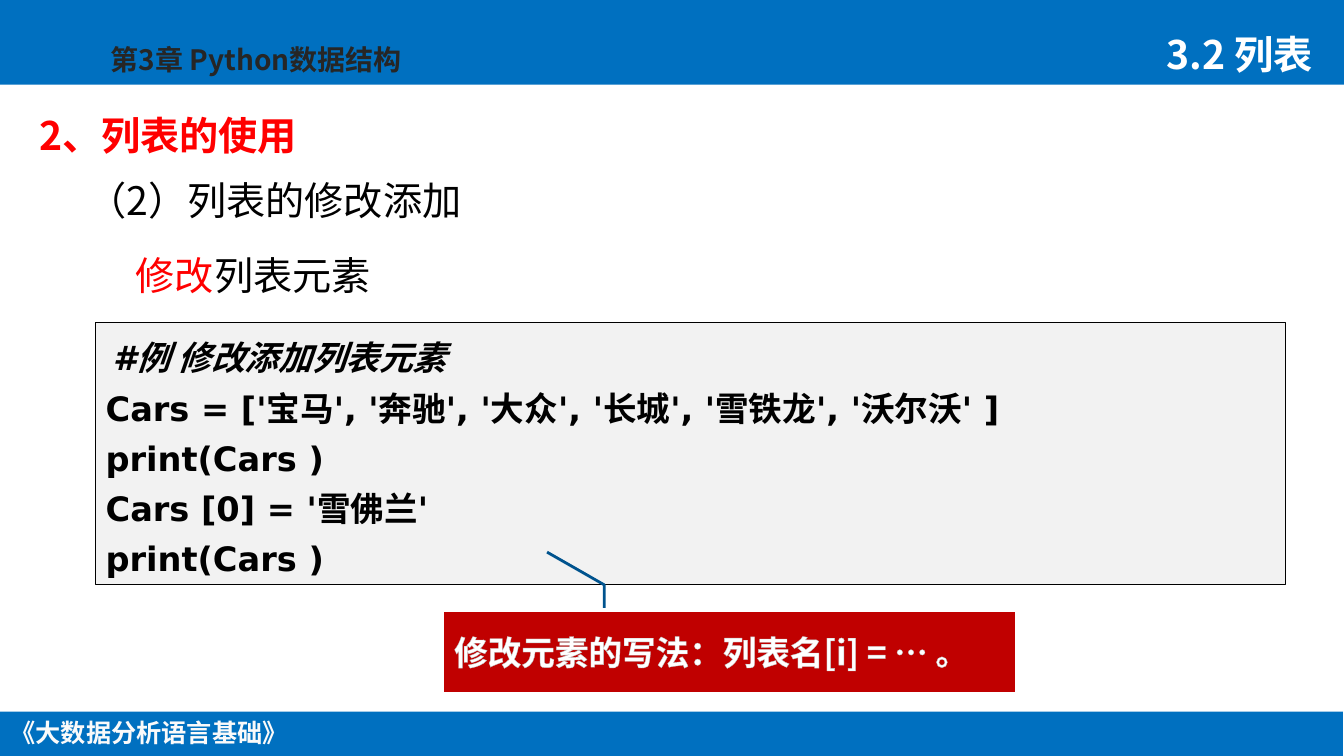
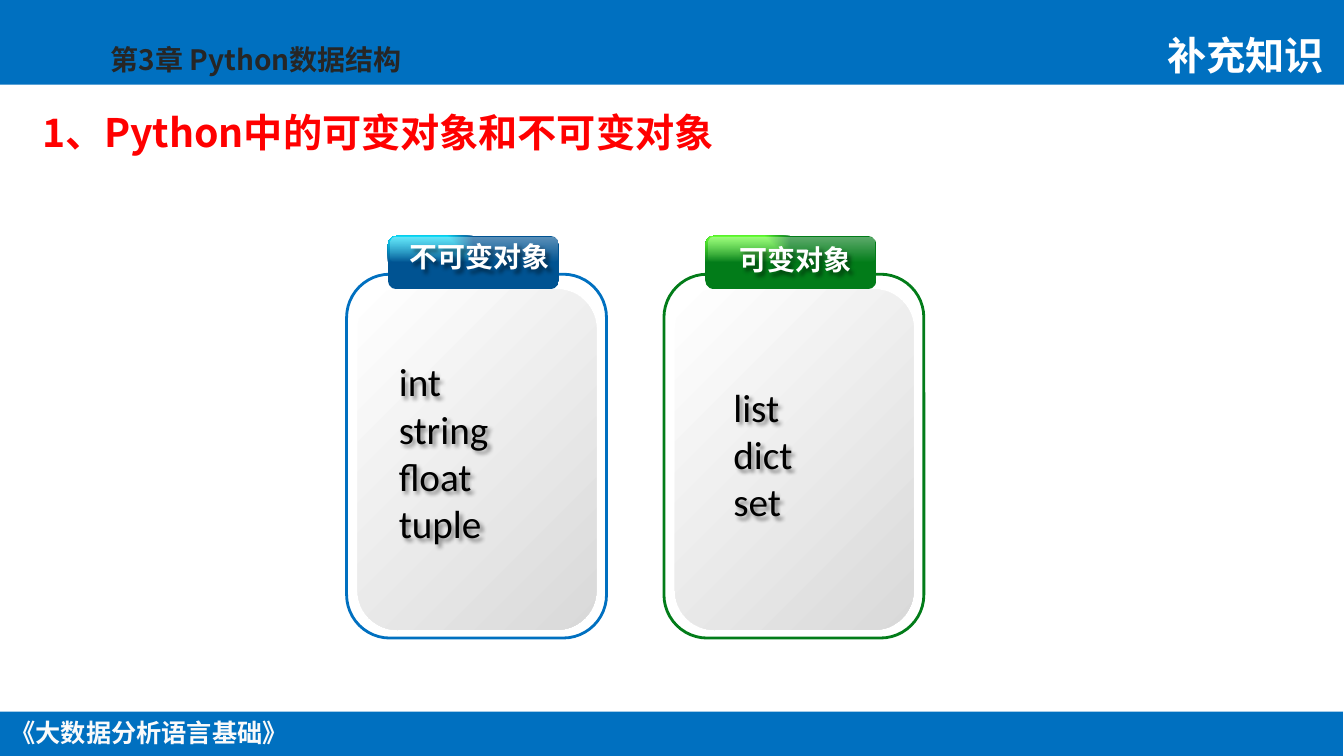
from lxml import etree
from pptx import Presentation
from pptx.dml.color import RGBColor
from pptx.enum.shapes import MSO_SHAPE
from pptx.enum.text import MSO_ANCHOR, MSO_AUTO_SIZE, PP_ALIGN
from pptx.oxml import parse_xml
from pptx.oxml.ns import qn
from pptx.util import Emu, Pt

# Enum members
RECT, ROUND = MSO_SHAPE.RECTANGLE, MSO_SHAPE.ROUNDED_RECTANGLE
CALL = MSO_SHAPE.LINE_CALLOUT_2_NO_BORDER
LEFT, MID, RIGHT = PP_ALIGN.LEFT, PP_ALIGN.CENTER, PP_ALIGN.RIGHT
TOP, CENTER, BOTTOM = MSO_ANCHOR.TOP, MSO_ANCHOR.MIDDLE, MSO_ANCHOR.BOTTOM
FIXED = MSO_AUTO_SIZE.NONE

# Colours
BLUE = RGBColor(0x00, 0x70, 0xC0)
NAVY = RGBColor(0x00, 0x53, 0x8E)
DEEP = RGBColor(0x00, 0x53, 0x92)
CYAN = RGBColor(0x10, 0xDC, 0xF8)
GREEN = RGBColor(0x02, 0x7C, 0x19)
LIME = RGBColor(0x66, 0xFF, 0x33)
RED = RGBColor(0xFF, 0x00, 0x00)
WINE = RGBColor(0xC0, 0x00, 0x00)
BLACK = RGBColor(0x00, 0x00, 0x00)
INK = RGBColor(0x26, 0x26, 0x26)
STEEL = RGBColor(0xBF, 0xBF, 0xBF)
GREY = RGBColor(0xD9, 0xD9, 0xD9)
PALE = RGBColor(0xF2, 0xF2, 0xF2)
SNOW = RGBColor(0xFA, 0xFA, 0xFA)
WHITE = RGBColor(0xFF, 0xFF, 0xFF)

# Fonts and scale: 100 px to the inch
HAN, CODE, LATIN = "Noto Sans CJK SC", "DejaVu Sans", "Calibri"
SCALE = 9144
NS = 'xmlns:a="http://schemas.openxmlformats.org/drawingml/2006/main"'
CORNER = '<a:path path="rect"><a:fillToRect r="100000" b="100000"/></a:path>'
SHADE = (f'<a:effectLst {NS}><a:outerShdw blurRad="38100" dist="38100" '
         'dir="2700000"><a:srgbClr val="000000"><a:alpha val="43000"/>'
         '</a:srgbClr></a:outerShdw></a:effectLst>')


def px(*sizes):
    return [Emu(size * SCALE) for size in sizes]


def slope(angle):
    return f'<a:lin ang="{angle * 60000}" scaled="0"/>'


class Deck:
    def __init__(self):
        self.file = Presentation()
        self.file.slide_width, self.file.slide_height = px(1334, 750)

    def page(self, topic):
        """Start a slide with the shared bands, footer and headings."""
        self.slide = self.file.slides.add_slide(self.file.slide_layouts[5])
        self.pen = self.slide.shapes
        self.shape(RECT, (0, 0, 1334, 84), BLUE)
        self.shape(RECT, (-1, 706, 1334, 45), BLUE)
        self.text((-1, 707, 298, 40), ["《大数据分析语言基础》"], size=18,
                  color=SNOW, bold=True, align=MID)
        self.text((100, 37, 378, 44), ["第3章 Python数据结构"], size=20,
                  color=INK, bold=True, edge=(WHITE, 1.06))
        place, words = topic
        self.text(place, [words], color=WHITE, bold=True, align=RIGHT,
                  anchor=BOTTOM, gap=0.9)

    def title(self, place, words, align=LEFT):
        box = self.slide.shapes.title
        box.left, box.top, box.width, box.height = px(*place)
        self.label(box, [words], color=RED, bold=True, align=align,
                   anchor=BOTTOM, gap=0.9)

    def group(self):
        self.pen = self.slide.shapes.add_group_shape().shapes

    def shape(self, kind, place, fill=None, line=None, width=1):
        box = self.pen.add_shape(kind, *px(*place))
        box.shadow.inherit = False
        if fill is not None:
            box.fill.solid()
            box.fill.fore_color.rgb = fill
        if line is None:
            box.line.fill.background()
        else:
            box.line.color.rgb = line
            box.line.width = Pt(width)
        return box

    def blend(self, place, start, end, way, alphas=(100, 100)):
        """Draw a round box with a two-stop gradient."""
        box = self.shape(ROUND, place)
        box.fill.gradient()
        stops = "".join(
            f'<a:gs pos="{pos}"><a:srgbClr val="{color}">'
            f'<a:alpha val="{alpha * 1000}"/></a:srgbClr></a:gs>'
            for pos, color, alpha in zip((0, 100000), (start, end), alphas))
        old = box._element.spPr.find(qn("a:gradFill"))
        old.getparent().replace(old, parse_xml(
            f'<a:gradFill {NS} rotWithShape="1"><a:gsLst>{stops}</a:gsLst>'
            f'{way}</a:gradFill>'))

    def text(self, place, paras, shade=False, **style):
        box = self.pen.add_textbox(*px(*place))
        if shade:
            box._element.spPr.append(parse_xml(SHADE))
        self.label(box, paras, **style)

    def label(self, box, paras, align=LEFT, anchor=TOP, gap=None, **style):
        """Fill a box; a paragraph is a string or a list of (text, style)."""
        frame = box.text_frame
        frame.word_wrap = True
        frame.auto_size = FIXED
        frame.vertical_anchor = anchor
        for i, runs in enumerate(paras):
            para = frame.add_paragraph() if i else frame.paragraphs[0]
            para.alignment = align
            if gap is not None:
                para.line_spacing = gap
            if isinstance(runs, str):
                runs = [(runs, {})]
            for words, extra in runs:
                self.run(para, words, **{**style, **extra})

    def run(self, para, words, size=28, color=BLACK, bold=False,
            italic=False, face=HAN, edge=None):
        run = para.add_run()
        run.text = words
        font = run.font
        font.size, font.bold, font.italic = Pt(size), bold, italic
        font.color.rgb = color
        font.name = face
        props = run._r.get_or_add_rPr()
        etree.SubElement(props, qn("a:ea"), typeface=HAN)
        if edge:
            tint, width = edge
            props.insert(0, parse_xml(
                f'<a:ln {NS} w="{int(Pt(width))}"><a:solidFill>'
                f'<a:srgbClr val="{tint}"/></a:solidFill></a:ln>'))

    def card(self, x, line, glow, dark, label, spot, items, area):
        """Draw a framed list with a glossy tab; spots are relative to x."""
        self.group()
        self.shape(ROUND, (x, 272, 258, 361), WHITE, line, 2)
        self.blend((x + 11, 287, 237, 338), WHITE, GREY, slope(45))
        left, *rest = area
        self.text((x + left, *rest), items, shade=True, face=LATIN)
        self.blend((x + 41, 234, 170, 53), glow, dark, CORNER)
        self.blend((x + 44, 236, 165, 23), WHITE, WHITE, slope(90), (37, 0))
        left, *rest = spot
        self.text((x + left, *rest), [label], shade=True, size=20,
                  color=WHITE, bold=True, align=MID)


def main():
    deck = Deck()

    # Changing list items
    deck.page(((1117, 8, 196, 74), "3.2 列表"))
    deck.title((29, 115, 836, 48), "2、列表的使用")
    deck.text((77, 179, 836, 48), ["（2）列表的修改添加"],
              anchor=BOTTOM, gap=0.9)
    deck.text((125, 226, 883, 94),
              [[("修改", {"color": RED}), ("列表元素", {})]], anchor=CENTER)
    code = deck.shape(RECT, (95, 320, 1181, 260), PALE, BLACK)
    deck.label(code, [
        [(" ", {"face": HAN}), ("#例 修改添加列表元素", {"italic": True})],
        "Cars = ['宝马', '奔驰', '大众', '长城', '雪铁龙', '沃尔沃' ]",
        "print(Cars )",
        "Cars [0] = '雪佛兰'",
        "print(Cars )",
    ], gap=Pt(35.8), size=24, bold=True, face=CODE)
    note = deck.shape(CALL, (441, 607, 567, 79), WINE, NAVY, 2)
    bends = (-0.05, 0.28, -0.34, 0.28, -0.75, 0.18)
    for i, bend in enumerate(bends):
        note.adjustments[i] = bend
    deck.label(note, ["修改元素的写法：列表名[i] = … 。"], anchor=CENTER,
               size=24, color=WHITE, bold=True, edge=(STEEL, 0.8))

    # Mutable and immutable objects
    deck.page(((1092, 9, 232, 74), "补充知识"))
    deck.title((13, 88, 724, 72), "1、Python中的可变对象和不可变对象", MID)
    cards = [
        (BLUE, CYAN, DEEP, "不可变对象", (51, 233, 162, 44),
         ["int", "string", "float", "tuple"], (42, 350, 162, 199)),
        (GREEN, LIME, GREEN, "可变对象", (47, 236, 167, 44),
         ["list", "dict", "set"], (59, 375, 141, 151)),
    ]
    for i, card in enumerate(cards):
        deck.card(344 + 315 * i, *card)

    deck.file.save("out.pptx")


if __name__ == "__main__":
    main()
